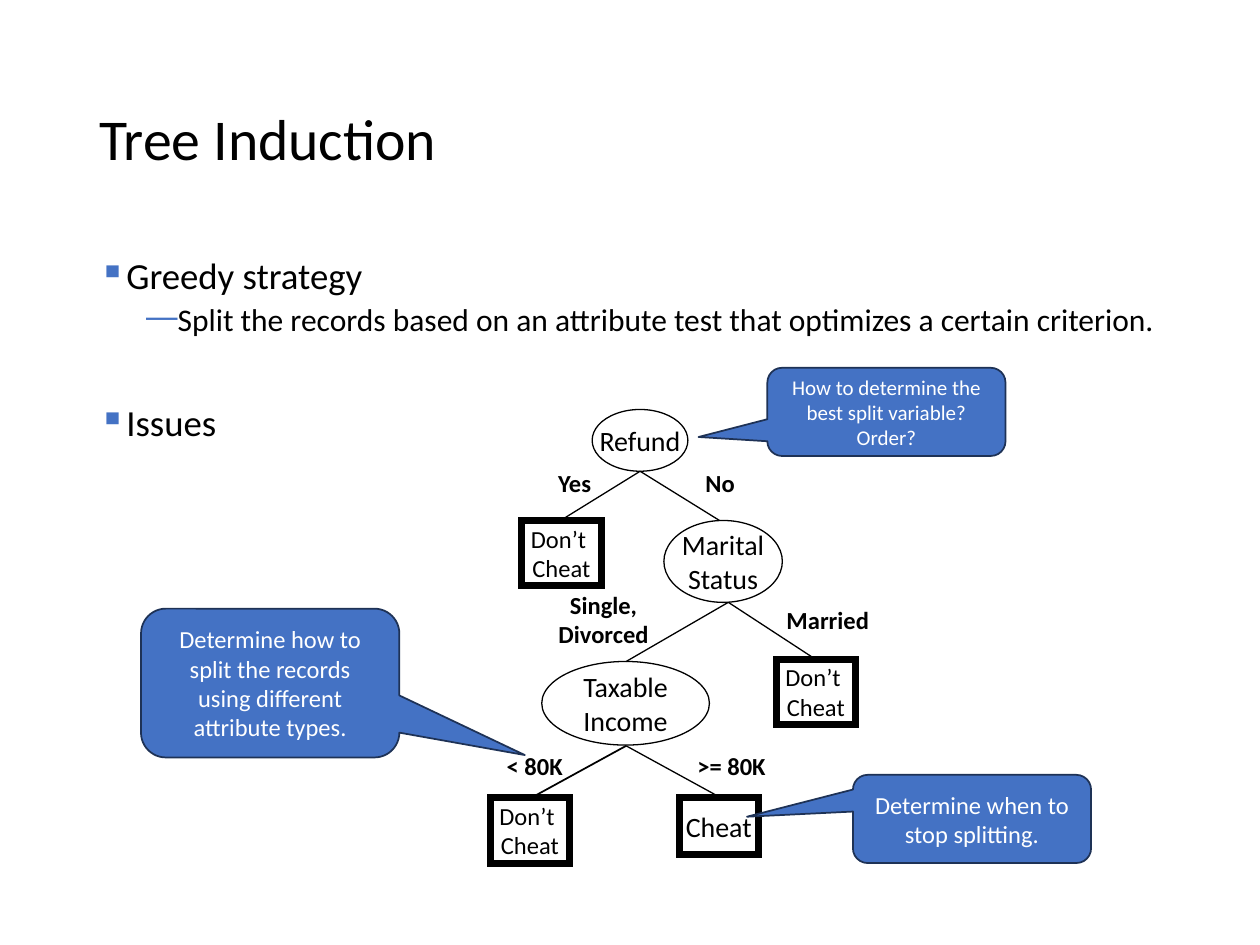
from dataclasses import dataclass
from typing import NamedTuple

from lxml.etree import SubElement
from pptx import Presentation
from pptx.dml.color import RGBColor
from pptx.enum.shapes import MSO_CONNECTOR, MSO_SHAPE as Shape
from pptx.enum.text import MSO_ANCHOR as Anchor, MSO_AUTO_SIZE as AutoSize, PP_ALIGN as Align
from pptx.oxml.ns import qn
from pptx.util import Pt


@dataclass(frozen=True)
class Theme:
    font: str = "Calibri"
    black: str = "000000"
    white: str = "FFFFFF"
    accent: str = "4472C4"
    accent_dark: str = "1E3256"
    title: float = 33
    bullet: float = 21
    sub_bullet: float = 18
    node: float = 16
    small: float = 14
    note: float = 12
    thin: float = 0.75
    thick: float = 4


class Bullet(NamedTuple):
    text: str
    mark: str
    size: float
    indent: float
    before: float
    level: int = 0


class Node(NamedTuple):
    text: str
    x: float
    y: float
    w: float
    h: float
    kind: Shape = Shape.OVAL
    size: float = 16
    line: float = 0.75


class Edge(NamedTuple):
    start: tuple[float, float]
    end: tuple[float, float]
    width: float = 0.75


class Label(NamedTuple):
    text: str
    x: float
    y: float
    w: float
    h: float = 24.5


class Callout(NamedTuple):
    text: str
    x: float
    y: float
    w: float
    h: float
    tip: tuple[float, float]
    size: float = 14


T = Theme()
HANG = 13.5
DONT = "Don’t \nCheat"


def leaf(x: float, y: float, text: str = DONT, h: float = 37.4, size: float = T.small) -> Node:
    return Node(text, x, y, 45.4, h, Shape.RECTANGLE, size, T.thick)


BULLETS = [
    Bullet("Greedy strategy", "▪", T.bullet, 13.5, 0),
    Bullet("Split the records based on an attribute test that optimizes a certain criterion.",
           "—", T.sub_bullet, 40.5, 3.8, 1),
    Bullet("Issues", "▪", T.bullet, 13.5, 38),
]
REFUND, MARITAL, INCOME = (365.8, 269.3), (416.2, 344.2), (357.8, 426.2)
EDGES = [
    Edge(REFUND, (320.4, 297.4)),
    Edge(REFUND, (411.1, 297.4)),
    Edge(MARITAL, (357.8, 378)),
    Edge(MARITAL, (465.8, 376.6)),
    Edge(INCOME, (303.8, 455.8), 1),
    Edge(INCOME, (411.8, 455.8)),
]
NODES = [
    Node("Refund", 338.4, 234, 54.7, 35.3),
    Node("Marital\nStatus", 379.4, 297.4, 67.7, 46.8),
    Node("Taxable\nIncome", 309.6, 378, 95.8, 47.8),
    leaf(298.1, 297.4),
    leaf(443.5, 376.6),
    leaf(280.1, 455.8),
    leaf(388.1, 455.8, "Cheat", 32.4, T.node),
]
LABELS = [
    Label("Yes", 311.8, 263.5, 33.1),
    Label("No", 396, 263.5, 31),
    Label("Single,\nDivorced", 311.8, 333.4, 66.2, 41),
    Label("Married", 442.1, 342, 61.9),
    Label("< 80K", 282.2, 425.5, 46.8),
    Label(">= 80K", 391, 425.5, 54),
]
CALLOUTS = [
    Callout("Determine when to stop splitting.", 487.4, 442.8, 136.1, 50.4, (-0.945, -0.025)),
    Callout("How to determine the best split variable? Order?",
            438.5, 210.2, 136.1, 50.4, (-0.789, 0.285), T.note),
    Callout("Determine how to split the records using different attribute types.",
            80.6, 347.8, 147.6, 85, (0.986, 0.484)),
]


def rgb(color: str) -> RGBColor:
    return RGBColor.from_string(color)


def format_run(p, text: str, size: float, color: str = T.black, bold: bool = False) -> None:
    r = p.add_run()
    r.text = text
    r.font.name, r.font.size, r.font.bold = T.font, Pt(size), bold
    r.font.color.rgb = rgb(color)


def write(sp, text: str, *, size: float, color: str = T.black, bold: bool = False,
          align: Align = Align.CENTER, wrap: bool = False, spacing: float = 1.0) -> None:
    """Fill a shape with one formatted paragraph per line of text."""
    tf = sp.text_frame
    tf.auto_size, tf.word_wrap, tf.vertical_anchor = AutoSize.NONE, wrap, Anchor.MIDDLE
    for i, line in enumerate(text.split("\n")):
        p = tf.add_paragraph() if i else tf.paragraphs[0]
        p.alignment, p.line_spacing = align, spacing
        format_run(p, line, size, color, bold)


def add_bullets(s, bullets: list[Bullet]) -> None:
    tf = s.shapes.add_textbox(Pt(49.5), Pt(144), Pt(621), Pt(342.7)).text_frame
    tf.word_wrap = True
    for i, b in enumerate(bullets):
        p = tf.add_paragraph() if i else tf.paragraphs[0]
        p.level, p.line_spacing, p.space_before = b.level, 0.9, Pt(b.before)
        pPr = p._p.get_or_add_pPr()
        pPr.set("marL", str(Pt(b.indent)))
        pPr.set("indent", str(-Pt(HANG)))
        SubElement(SubElement(pPr, qn("a:buClr")), qn("a:srgbClr"), val=T.accent)
        SubElement(pPr, qn("a:buChar"), char=b.mark)
        format_run(p, b.text, b.size)


def add_box(s, kind: Shape, box: tuple, fill: str, line: str, width: float):
    sp = s.shapes.add_shape(kind, *map(Pt, box))
    sp.shadow.inherit = False
    sp.fill.solid()
    sp.fill.fore_color.rgb = rgb(fill)
    sp.line.color.rgb = rgb(line)
    sp.line.width = Pt(width)
    return sp


def add_node(s, n: Node) -> None:
    sp = add_box(s, n.kind, (n.x, n.y, n.w, n.h), T.white, T.black, n.line)
    # Mostly transparent fill and sharp corners
    clr = sp._element.spPr.find(qn("a:solidFill")).find(qn("a:srgbClr"))
    SubElement(clr, qn("a:alpha"), val="20000")
    SubElement(sp._element.spPr.find(qn("a:ln")), qn("a:miter"), lim="800000")
    write(sp, n.text, size=n.size)


def add_edge(s, e: Edge) -> None:
    cn = s.shapes.add_connector(MSO_CONNECTOR.STRAIGHT, *map(Pt, e.start + e.end))
    cn.line.color.rgb = rgb(T.black)
    cn.line.width = Pt(e.width)
    SubElement(cn._element.spPr, qn("a:effectLst"))


def add_label(s, b: Label) -> None:
    sp = s.shapes.add_textbox(Pt(b.x), Pt(b.y), Pt(b.w), Pt(b.h))
    write(sp, b.text, size=T.small, bold=True)


def add_callout(s, c: Callout) -> None:
    sp = add_box(s, Shape.ROUNDED_RECTANGULAR_CALLOUT, (c.x, c.y, c.w, c.h),
                 T.accent, T.accent_dark, 1)
    sp.adjustments[0], sp.adjustments[1] = c.tip
    write(sp, c.text, size=c.size, color=T.white, wrap=True)


def main() -> None:
    prs = Presentation()
    prs.slide_width, prs.slide_height = Pt(720), Pt(540)
    s = prs.slides.add_slide(prs.slide_layouts[5])

    # Title and bullets
    title = s.shapes.title
    title.left, title.top, title.width, title.height = map(Pt, (49.5, 28.8, 621, 104.4))
    write(title, "Tree Induction", size=T.title, align=Align.LEFT, wrap=True, spacing=0.9)
    add_bullets(s, BULLETS)

    # Decision tree, then the notes pointing at it
    for draw, parts in ((add_edge, EDGES), (add_node, NODES),
                        (add_label, LABELS), (add_callout, CALLOUTS)):
        for part in parts:
            draw(s, part)

    prs.save("out.pptx")


if __name__ == "__main__":
    main()
